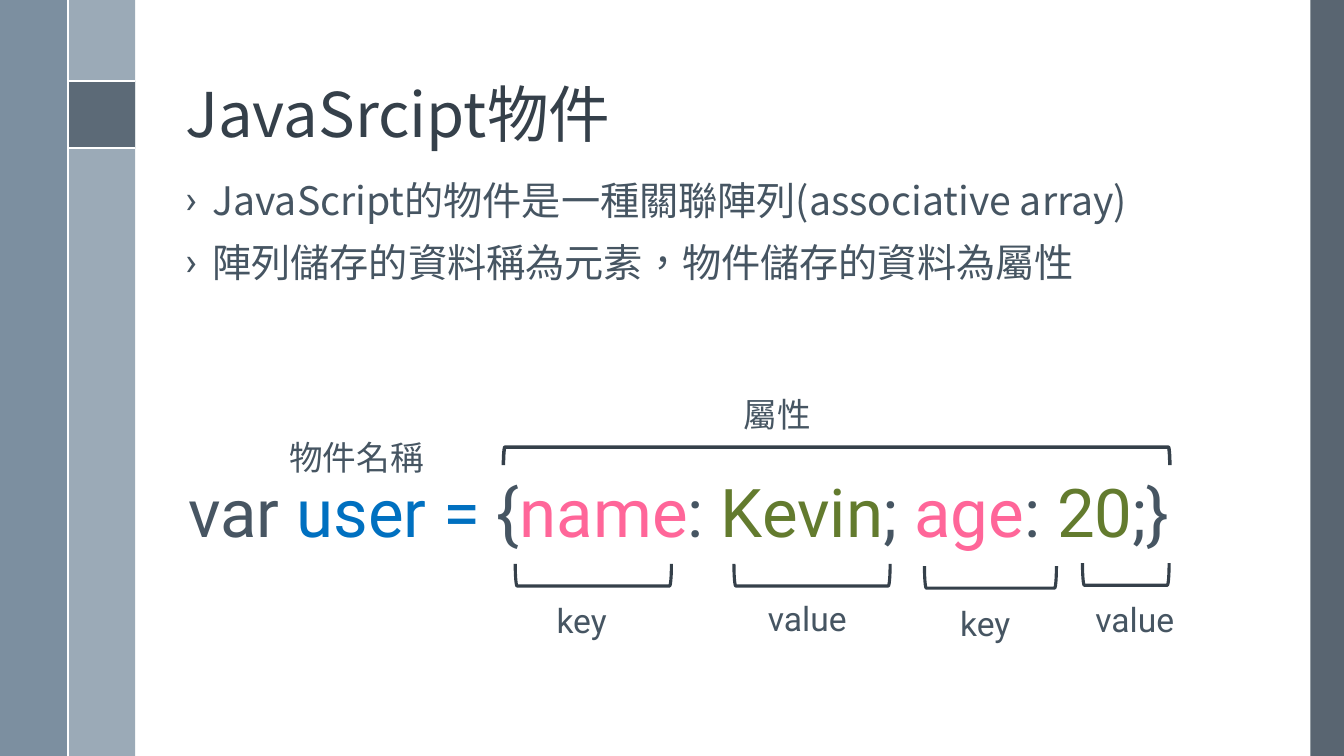
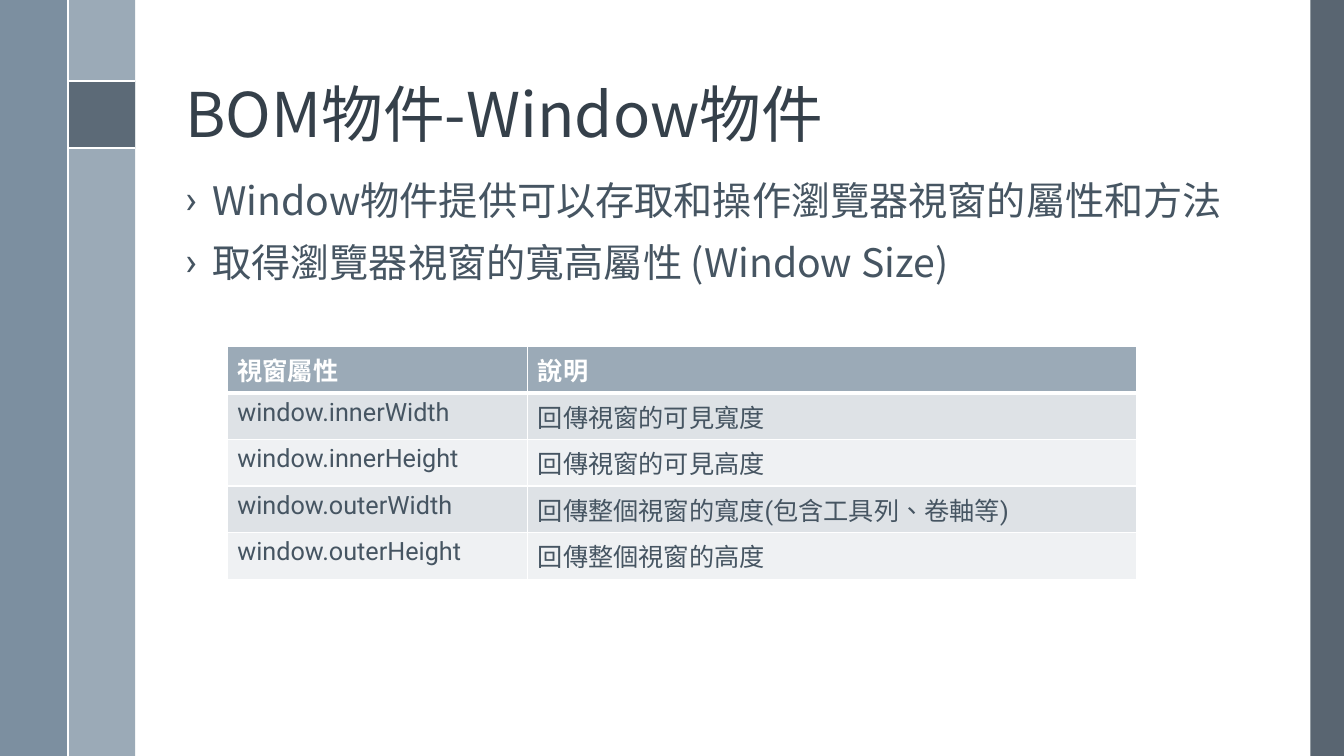
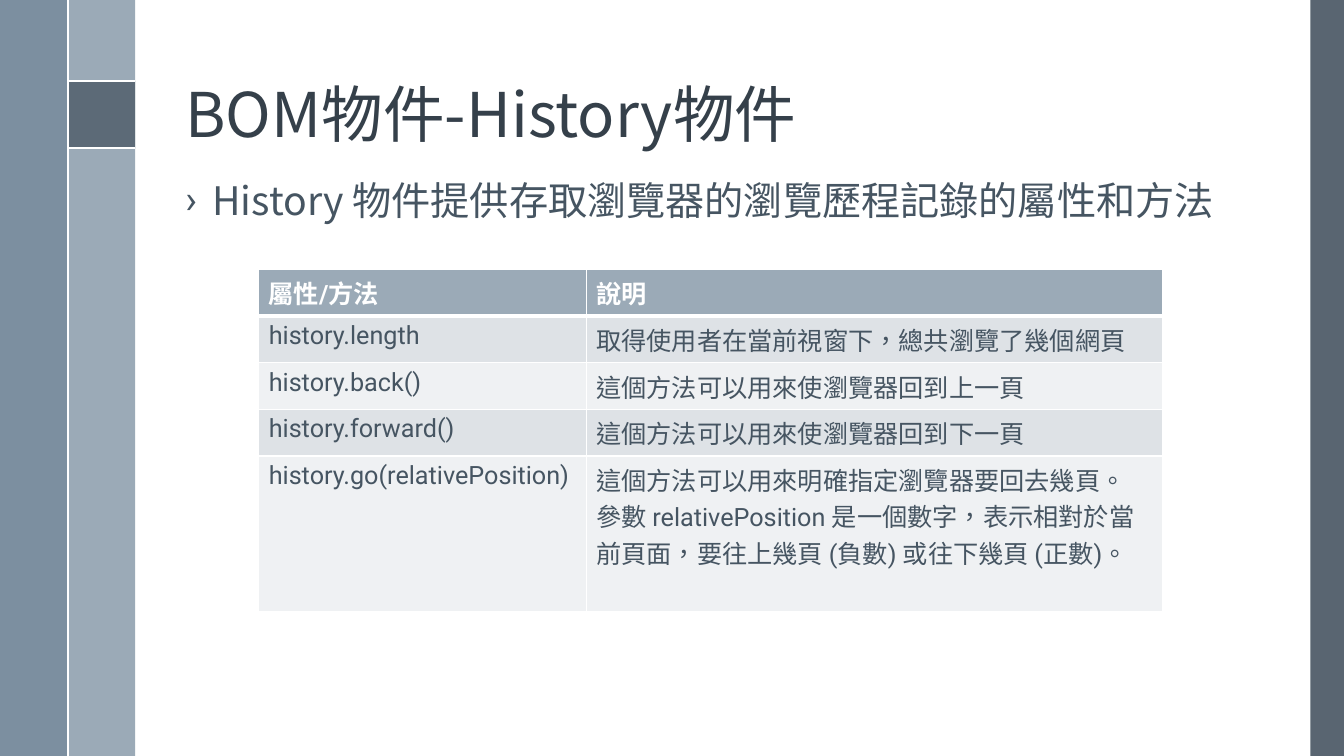
from dataclasses import dataclass

from lxml.etree import SubElement
from pptx import Presentation
from pptx.dml.color import RGBColor
from pptx.enum.shapes import MSO_CONNECTOR, MSO_SHAPE
from pptx.enum.text import MSO_ANCHOR, PP_ALIGN
from pptx.oxml import parse_xml
from pptx.oxml.ns import nsdecls, qn
from pptx.util import Pt

# Colours
WHITE = RGBColor(0xFF, 0xFF, 0xFF)
DARK = RGBColor(0x35, 0x40, 0x4A)
TEXT = RGBColor(0x46, 0x55, 0x62)
SLATE = RGBColor(0x47, 0x55, 0x62)
STEEL = RGBColor(0x6A, 0x80, 0x93)
MIST = RGBColor(0x9B, 0xAA, 0xB7)
BLUE = RGBColor(0x00, 0x70, 0xC0)
PINK = RGBColor(0xFF, 0x66, 0x99)
GREEN = RGBColor(0x63, 0x7B, 0x2E)
ROW_FILLS = (RGBColor(0xDE, 0xE2, 0xE6), RGBColor(0xEF, 0xF1, 0xF3))

# Fonts and page measures, in points
HEADING_FONT = "Noto Sans CJK TC"
BODY_FONT = "Roboto"
LANGUAGE = "zh-TW"
PAGE_WIDTH, PAGE_HEIGHT = 960, 540
STRIP_LEFT, STRIP_WIDTH = 48.6, 48
SQUARE_TOP, SQUARE_BOTTOM = 58, 106
CONTENT_LEFT, CONTENT_WIDTH = 125.3, 770.4
BULLET_INDENT = 19.4


@dataclass(frozen=True)
class Band:
    left: float
    top: float
    width: float
    height: float
    color: RGBColor
    opacity: int = 100


@dataclass(frozen=True)
class Rule:
    x1: float
    y1: float
    x2: float
    y2: float


@dataclass(frozen=True)
class Bracket:
    left: float
    top: float
    width: float
    height: float = 15.8
    shape: MSO_SHAPE = MSO_SHAPE.RIGHT_BRACKET
    weight: float = 2.25


@dataclass(frozen=True)
class Label:
    text: str
    left: float
    top: float
    width: float


@dataclass(frozen=True)
class Grid:
    left: float
    top: float
    columns: tuple[float, ...]
    row_heights: tuple[float, ...]
    rows: tuple[tuple[str, str], ...]


BANDS = (
    Band(936, 0, 24, PAGE_HEIGHT, SLATE, 90),
    Band(STRIP_LEFT, 0, STRIP_WIDTH, PAGE_HEIGHT, MIST),
    Band(0, 0, 48, PAGE_HEIGHT, STEEL, 88),
    Band(STRIP_LEFT, SQUARE_TOP, STRIP_WIDTH, SQUARE_BOTTOM - SQUARE_TOP, SLATE, 75),
)
RULES = (
    Rule(STRIP_LEFT, SQUARE_TOP, STRIP_LEFT + STRIP_WIDTH, SQUARE_TOP),
    Rule(STRIP_LEFT, SQUARE_BOTTOM, STRIP_LEFT + STRIP_WIDTH, SQUARE_BOTTOM),
    Rule(STRIP_LEFT, 0, STRIP_LEFT, PAGE_HEIGHT),
)

# Object literal diagram
CODE_SPANS = (
    ("var", SLATE), (" user =", BLUE), (" {", TEXT),
    ("name", PINK), (": ", TEXT), ("Kevin", GREEN), ("; ", TEXT),
    ("age", PINK), (": ", TEXT), ("20", GREEN), (";}", TEXT),
)
BRACKETS = (
    Bracket(359.6, 319.3, 476, 13, MSO_SHAPE.LEFT_BRACKET, 2.5),
    Bracket(368, 402.8, 111.6),
    Bracket(524.2, 402.8, 111.6),
    Bracket(660.3, 404.3, 94.3),
    Bracket(773.2, 402.3, 61.9),
)
LABELS = (
    Label("屬性", 524.2, 277.9, 83),
    Label("key", 390.5, 425.2, 67),
    Label("value", 541.4, 423.8, 87),
    Label("key", 678.7, 427, 78.5),
    Label("value", 775.4, 424.5, 73),
    Label("物件名稱", 199.6, 308.2, 120.5),
)

# Tables
WINDOW_GRID = Grid(
    162.4, 247.3, (214.6, 434.9), (33.3,) * 5,
    (
        ("視窗屬性", "說明"),
        ("window.innerWidth", "回傳視窗的可見寬度"),
        ("window.innerHeight", "回傳視窗的可見高度"),
        ("window.outerWidth", "回傳整個視窗的寬度(包含工具列、卷軸等)"),
        ("window.outerHeight", "回傳整個視窗的高度"),
    ),
)
HISTORY_GRID = Grid(
    184.8, 192.6, (234, 411.5), (33.3,) * 4 + (111.4,),
    (
        ("屬性/方法", "說明"),
        ("history.length", "取得使用者在當前視窗下，總共瀏覽了幾個網頁"),
        ("history.back()", "這個方法可以用來使瀏覽器回到上一頁"),
        ("history.forward()", "這個方法可以用來使瀏覽器回到下一頁"),
        (
            "history.go(relativePosition)",
            "這個方法可以用來明確指定瀏覽器要回去幾頁。\n"
            "參數 relativePosition 是一個數字，表示相對於當前頁面，"
            "要往上幾頁 (負數) 或往下幾頁 (正數)。",
        ),
    ),
)


# Text
def add_span(para, text: str, *, size: float, color: RGBColor,
             font: str = BODY_FONT, bold: bool = False) -> None:
    span = para.add_run()
    span.text = text
    span.font.size = Pt(size)
    span.font.name = font
    span.font.bold = bold
    span.font.color.rgb = color
    properties = span.font._element
    properties.set("lang", LANGUAGE)
    SubElement(properties, qn("a:ea")).set("typeface", HEADING_FONT)


def add_bullet(para) -> None:
    properties = para._p.get_or_add_pPr()
    properties.set("marL", str(Pt(BULLET_INDENT)))
    properties.set("indent", str(-Pt(BULLET_INDENT)))
    SubElement(properties, qn("a:buFont")).set("typeface", BODY_FONT)
    SubElement(properties, qn("a:buChar")).set("char", "›")


def write_lines(frame, lines: list[str], *, bullets: bool = False,
                line_spacing: float | None = None, space_before: float = 0,
                **span_format) -> None:
    for index, line in enumerate(lines):
        para = frame.add_paragraph() if index else frame.paragraphs[0]
        if bullets:
            add_bullet(para)
        if line_spacing:
            para.line_spacing = line_spacing
        if index and space_before:
            para.space_before = Pt(space_before)
        add_span(para, line, **span_format)


def add_frame(page, left: float, top: float, width: float, height: float,
              *, wrap: bool = True, anchor: MSO_ANCHOR = MSO_ANCHOR.TOP):
    box = page.shapes.add_textbox(Pt(left), Pt(top), Pt(width), Pt(height))
    frame = box.text_frame
    frame.word_wrap = wrap
    frame.vertical_anchor = anchor
    return frame


# Shared page parts
def add_band(page, band: Band) -> None:
    shape = page.shapes.add_shape(MSO_SHAPE.RECTANGLE, Pt(band.left), Pt(band.top),
                                  Pt(band.width), Pt(band.height))
    shape.shadow.inherit = False
    shape.line.fill.background()
    shape.fill.solid()
    shape.fill.fore_color.rgb = band.color
    if band.opacity < 100:
        color = shape._element.spPr.find(qn("a:solidFill"))[0]
        SubElement(color, qn("a:alpha")).set("val", str(band.opacity * 1000))


def add_rule(page, rule: Rule) -> None:
    line = page.shapes.add_connector(MSO_CONNECTOR.STRAIGHT, Pt(rule.x1), Pt(rule.y1),
                                     Pt(rule.x2), Pt(rule.y2))
    line.line.color.rgb = WHITE
    line.line.width = Pt(1.5)
    SubElement(line._element.spPr, qn("a:effectLst"))


def add_page(deck, title: str, bullets: list[str]):
    page = deck.slides.add_slide(deck.slide_layouts[6])
    for band in BANDS:
        add_band(page, band)
    for rule in RULES:
        add_rule(page, rule)
    title_frame = add_frame(page, CONTENT_LEFT, 13.7, CONTENT_WIDTH, 97.9,
                            anchor=MSO_ANCHOR.BOTTOM)
    write_lines(title_frame, [title], size=44, color=DARK, font=HEADING_FONT,
                line_spacing=0.9)
    body_frame = add_frame(page, CONTENT_LEFT, 126, CONTENT_WIDTH, 360)
    write_lines(body_frame, bullets, size=28, color=TEXT, font=HEADING_FONT,
                bullets=True, line_spacing=0.9, space_before=14)
    return page


# Diagram parts
def add_bracket(page, bracket: Bracket) -> None:
    # The upright preset is turned a quarter about its centre
    shift = (bracket.width - bracket.height) / 2
    shape = page.shapes.add_shape(bracket.shape, Pt(bracket.left + shift),
                                  Pt(bracket.top - shift),
                                  Pt(bracket.height), Pt(bracket.width))
    shape.rotation = 90
    shape.shadow.inherit = False
    shape.fill.background()
    shape.line.color.rgb = DARK
    shape.line.width = Pt(bracket.weight)


def add_diagram(page) -> None:
    code_frame = add_frame(page, 110.2, 332.3, 749.5, 65.5, wrap=False)
    para = code_frame.paragraphs[0]
    para.alignment = PP_ALIGN.CENTER
    for text, color in CODE_SPANS:
        add_span(para, text, size=48, color=color)
    for bracket in BRACKETS:
        add_bracket(page, bracket)
    for label in LABELS:
        frame = add_frame(page, label.left, label.top, label.width, 36)
        write_lines(frame, [label.text], size=24, color=TEXT)


# Table parts
def set_borders(cell, *, top: float = 1, bottom: float = 1) -> None:
    properties = cell._tc.get_or_add_tcPr()
    widths = {"lnL": 1, "lnR": 1, "lnT": top, "lnB": bottom}
    for index, (tag, width) in enumerate(widths.items()):
        border = parse_xml(
            f'<a:{tag} {nsdecls("a")} w="{Pt(width)}"><a:solidFill>'
            f'<a:srgbClr val="{WHITE}"/></a:solidFill></a:{tag}>')
        properties.insert(index, border)


def add_grid(page, grid: Grid) -> None:
    table = page.shapes.add_table(
        len(grid.rows), len(grid.columns), Pt(grid.left), Pt(grid.top),
        Pt(sum(grid.columns)), Pt(sum(grid.row_heights))).table
    table.horz_banding = False
    for column, width in zip(table.columns, grid.columns):
        column.width = Pt(width)
    for index, (row, height) in enumerate(zip(table.rows, grid.row_heights)):
        row.height = Pt(height)
        header = index == 0
        for cell, text in zip(row.cells, grid.rows[index]):
            cell.fill.solid()
            cell.fill.fore_color.rgb = MIST if header else ROW_FILLS[(index - 1) % 2]
            set_borders(cell, top=3 if index == 1 else 1, bottom=3 if header else 1)
            write_lines(cell.text_frame, text.split("\n"), size=18,
                        color=WHITE if header else TEXT, bold=header)


def main() -> None:
    deck = Presentation()
    deck.slide_width, deck.slide_height = Pt(PAGE_WIDTH), Pt(PAGE_HEIGHT)

    object_page = add_page(deck, "JavaSrcipt物件", [
        "JavaScript的物件是一種關聯陣列(associative array)",
        "陣列儲存的資料稱為元素，物件儲存的資料為屬性",
    ])
    add_diagram(object_page)

    window_page = add_page(deck, "BOM物件-Window物件", [
        "Window物件提供可以存取和操作瀏覽器視窗的屬性和方法",
        "取得瀏覽器視窗的寬高屬性 (Window Size)",
    ])
    add_grid(window_page, WINDOW_GRID)

    history_page = add_page(deck, "BOM物件-History物件", [
        "History 物件提供存取瀏覽器的瀏覽歷程記錄的屬性和方法",
    ])
    add_grid(history_page, HISTORY_GRID)

    deck.save("out.pptx")


if __name__ == "__main__":
    main()
